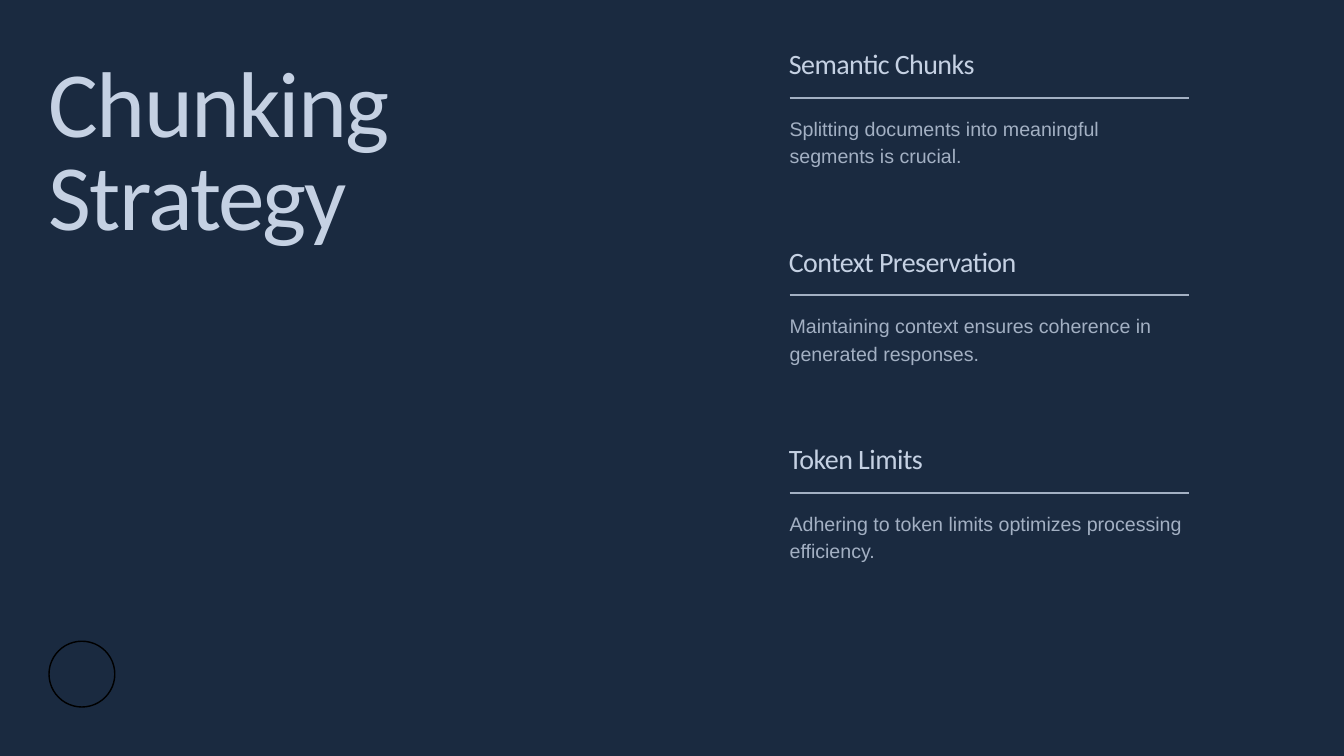
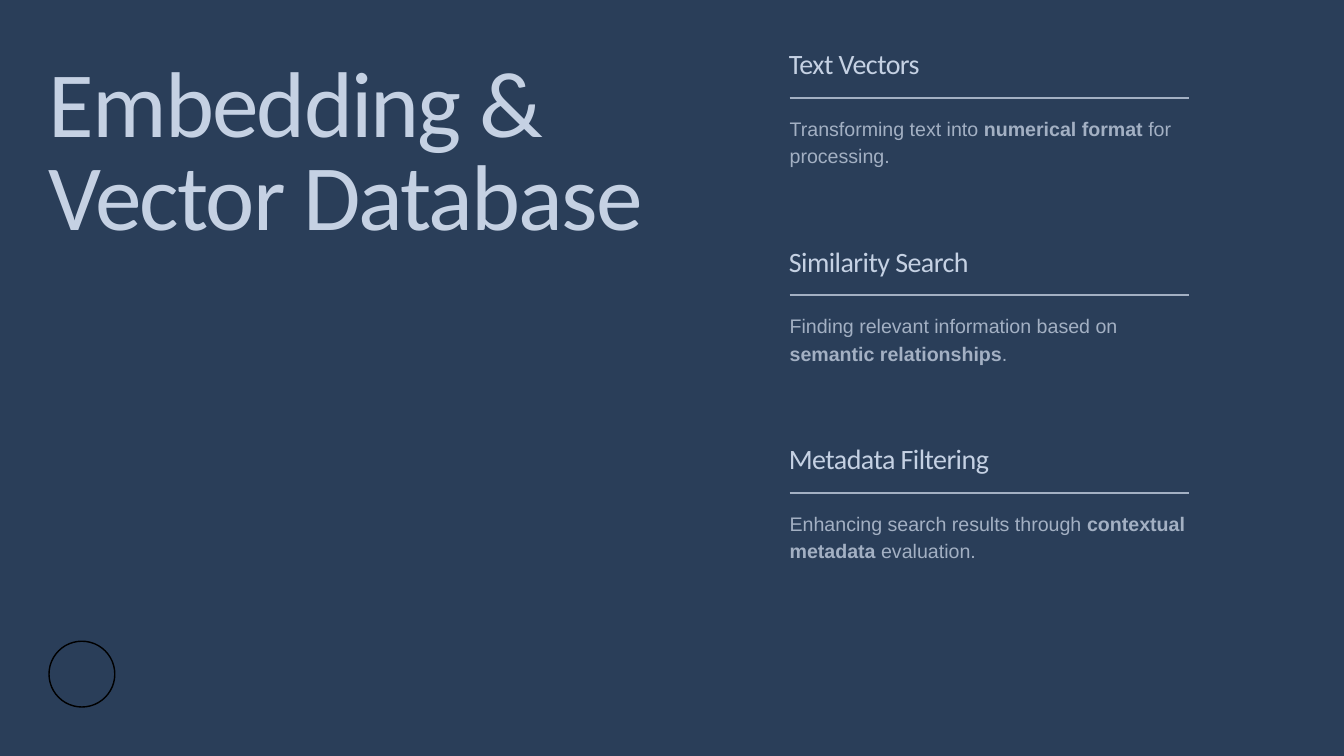
"""Builds two slides, each with a large title and three ruled topics."""
from dataclasses import dataclass

from lxml import etree
from pptx import Presentation
from pptx.dml.color import RGBColor
from pptx.enum.shapes import MSO_CONNECTOR, MSO_SHAPE
from pptx.enum.text import MSO_AUTO_SIZE
from pptx.oxml.ns import qn
from pptx.util import Emu, Pt

STRAIGHT = MSO_CONNECTOR.STRAIGHT
OVAL = MSO_SHAPE.OVAL
GROW = MSO_AUTO_SIZE.SHAPE_TO_FIT_TEXT
EMU_PER_PX = 9525
TOPIC_PITCH = 282


def px(length):
    return Emu(length * EMU_PER_PX)


@dataclass(frozen=True)
class TextStyle:
    font: str
    size: int
    leading: float
    color: str
    tracking: float = 0


@dataclass(frozen=True)
class Theme:
    navy: str = "1A2A40"
    slate: str = "2A3E59"
    rule: str = "A3B0C3"
    ring: str = "000000"
    title: TextStyle = TextStyle("Calibri", 100, 100, "C5D1E3", -2)
    heading: TextStyle = TextStyle("Calibri", 30, 30, "C5D1E3", -0.6)
    body: TextStyle = TextStyle("Arial", 21, 29.4, "A3B0C3")


class Deck:
    def __init__(self, theme):
        self.theme = theme
        self.presentation = Presentation()
        self.presentation.slide_width = px(1920)
        self.presentation.slide_height = px(1080)
        self.slide = None

    def new_slide(self, background):
        blank = self.presentation.slide_layouts[6]
        self.slide = self.presentation.slides.add_slide(blank)
        fill = self.slide.background.fill
        fill.solid()
        fill.fore_color.rgb = RGBColor.from_string(background)

    def text(self, shapes, box, runs, style):
        frame = shapes.add_textbox(*map(px, box)).text_frame
        frame.word_wrap = True
        frame.auto_size = GROW
        frame.margin_left = frame.margin_top = 0
        frame.margin_right = frame.margin_bottom = 0
        paragraph = frame.paragraphs[0]
        paragraph.line_spacing = Pt(style.leading)
        for words, bold in runs:
            run = paragraph.add_run()
            run.text = words
            run.font.name = style.font
            run.font.size = Pt(style.size)
            run.font.bold = bold
            run.font.color.rgb = RGBColor.from_string(style.color)
            if style.tracking:
                run._r.get_or_add_rPr().set("spc", str(round(style.tracking * 100)))

    def title(self, words, height):
        self.text(self.slide.shapes, (70, 90, 874, height), [(words, False)], self.theme.title)

    def rule(self, shapes, left, right, y):
        line = shapes.add_connector(STRAIGHT, px(left), px(y), px(right), px(y))
        line.line.color.rgb = RGBColor.from_string(self.theme.rule)
        line.line.width = Pt(2)
        etree.SubElement(line._element.spPr, qn("a:effectLst"))

    def topic(self, top, heading, body):
        shapes = self.slide.shapes.add_group_shape().shapes
        self.text(shapes, (1127, top, 572, 41), [(heading, False)], self.theme.heading)
        self.text(shapes, (1128, top + 86, 570, 76), body, self.theme.body)
        self.rule(shapes, 1128, 1699, top + 65)

    def ring(self):
        ring = self.slide.shapes.add_shape(OVAL, px(70), px(916), px(94), px(94))
        ring.shadow.inherit = False
        ring.fill.background()
        ring.line.color.rgb = RGBColor.from_string(self.theme.ring)
        ring.line.width = Pt(1.5)


def main():
    theme = Theme()
    deck = Deck(theme)
    content = [
        (theme.navy, "Chunking Strategy", 273, [
            ("Semantic Chunks",
             [("Splitting documents into meaningful segments is crucial.", False)]),
            ("Context Preservation",
             [("Maintaining context ensures coherence in generated responses.", False)]),
            ("Token Limits",
             [("Adhering to token limits optimizes processing efficiency.", False)]),
        ]),
        (theme.slate, "Embedding & Vector Database", 406, [
            ("Text Vectors",
             [("Transforming text into ", False), ("numerical format", True),
              (" for processing.", False)]),
            ("Similarity Search",
             [("Finding relevant information based on ", False),
              ("semantic relationships", True), (".", False)]),
            ("Metadata Filtering",
             [("Enhancing search results through ", False),
              ("contextual metadata", True), (" evaluation.", False)]),
        ]),
    ]
    for background, title, title_height, topics in content:
        deck.new_slide(background)
        deck.title(title, title_height)
        for row, (heading, body) in enumerate(topics):
            deck.topic(75 + row * TOPIC_PITCH, heading, body)
        deck.ring()
    deck.presentation.save("out.pptx")


if __name__ == "__main__":
    main()
